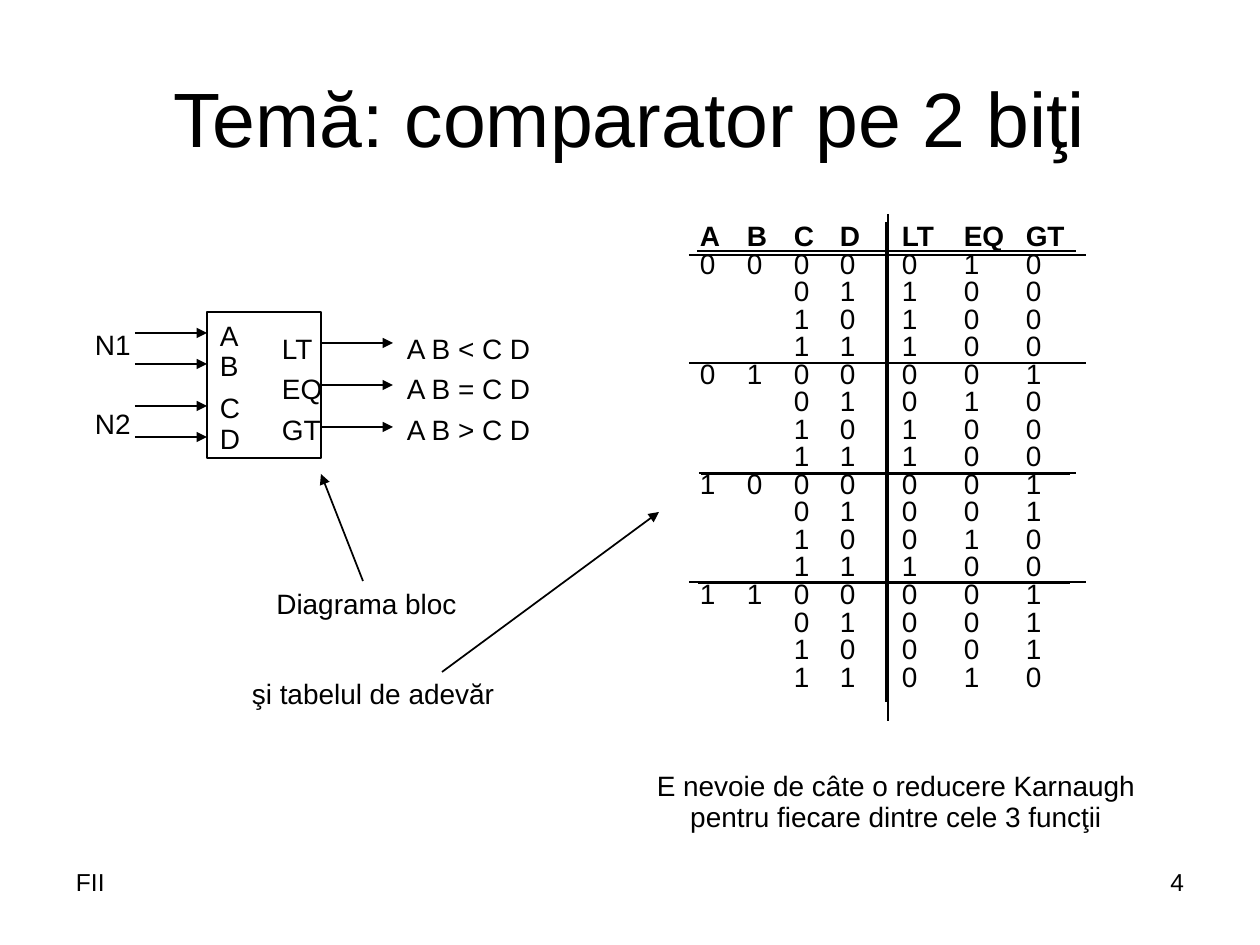
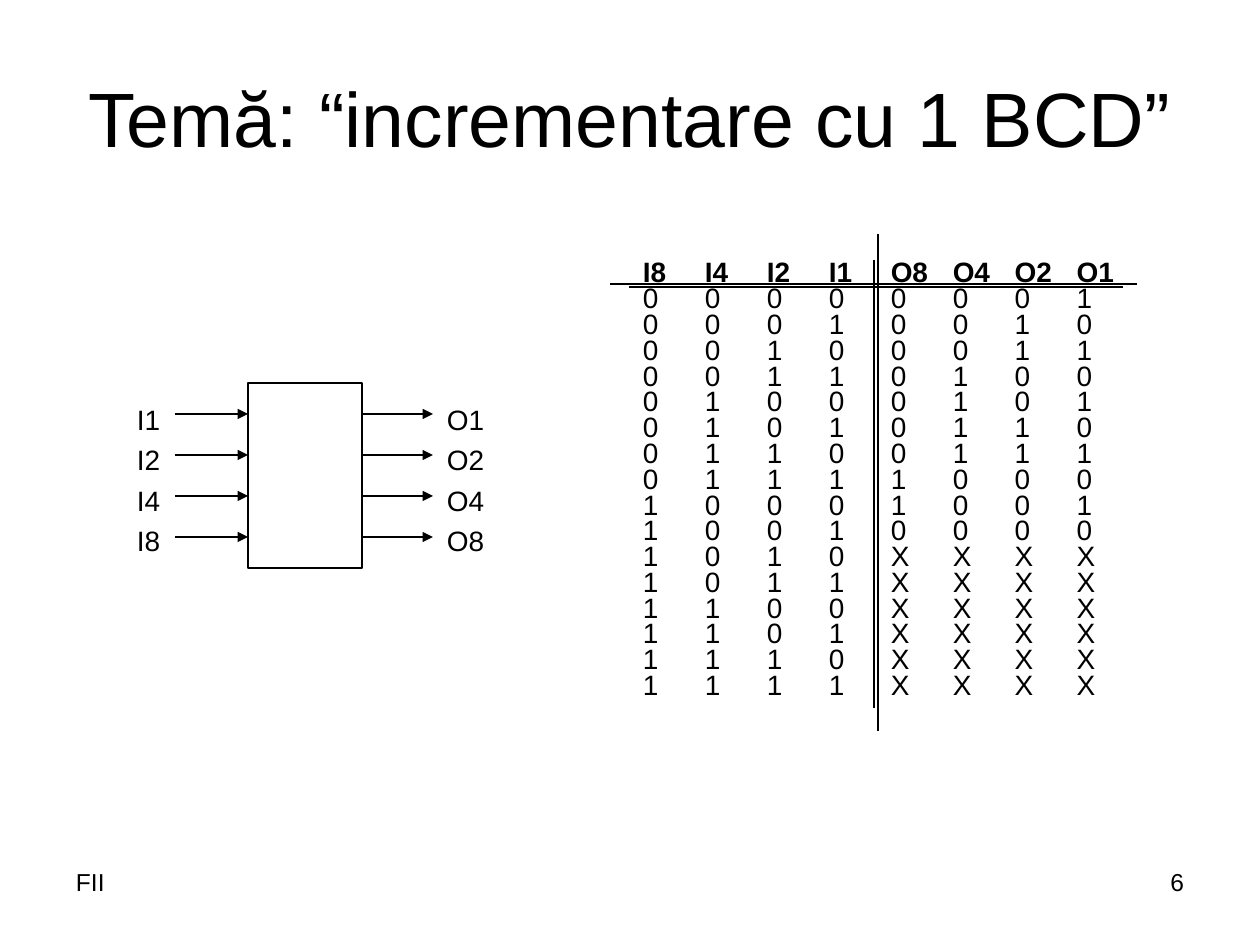
from dataclasses import dataclass

from lxml import etree
from pptx import Presentation
from pptx.dml.color import RGBColor
from pptx.enum.shapes import MSO_CONNECTOR, MSO_SHAPE
from pptx.enum.text import MSO_ANCHOR, MSO_AUTO_SIZE, PP_ALIGN
from pptx.oxml.ns import qn
from pptx.util import Pt

EMU_PER_PX = 914400 / 126
COLORS = {"ink": "000000", "paper": "FFFFFF"}
FONT = "Arial"
LEFT, CENTER, RIGHT = PP_ALIGN.LEFT, PP_ALIGN.CENTER, PP_ALIGN.RIGHT
MIDDLE = MSO_ANCHOR.MIDDLE
NO_AUTOFIT = MSO_AUTO_SIZE.NONE
STRAIGHT = MSO_CONNECTOR.STRAIGHT
RECTANGLE = MSO_SHAPE.RECTANGLE
TIGHT, ROOMY = (3, 4), (13, 6)  # horizontal and vertical text insets
LEFT_SIDE, RIGHT_SIDE = 1, 3
PLAIN_TABLE_STYLE = "{2D5ABB26-0587-4C30-8999-92F81FD0307C}"


@dataclass
class Label:
    left: int
    top: int
    width: int
    height: int
    lines: list[str]
    spacing: float | Pt | None = None
    align: PP_ALIGN = LEFT
    inset: tuple[int, int] = TIGHT
    size: int = 16
    wrap: bool = False


@dataclass
class Line:
    x1: int
    y1: int
    x2: int
    y2: int
    weight: float = 1
    arrow: bool = False


@dataclass
class Block:
    left: int
    top: int
    width: int
    height: int
    input_start: int
    input_rows: list[int]
    output_end: int
    output_rows: list[int]


@dataclass
class TruthTable:
    left: int
    top: int
    widths: list[int]
    row_points: float
    rows: list[list[str]]
    group_columns: int = 0  # leading columns merged over each group of rows
    group_size: int = 4


def px(length: int) -> int:
    return round(length * EMU_PER_PX)


def color(name: str) -> RGBColor:
    return RGBColor.from_string(COLORS[name])


def style_paragraph(para, size: int, align=LEFT, spacing=None, bold=False) -> None:
    para.alignment = align
    para.line_spacing = spacing
    para.font.name = FONT
    para.font.size = Pt(size)
    para.font.bold = bold
    para.font.color.rgb = color("ink")


def set_insets(frame, inset: tuple[int, int]) -> None:
    frame.margin_left = frame.margin_right = px(inset[0])
    frame.margin_top = frame.margin_bottom = px(inset[1])


def add_label(page, label: Label) -> None:
    box = page.shapes.add_textbox(
        px(label.left), px(label.top), px(label.width), px(label.height))
    frame = box.text_frame
    frame.word_wrap = label.wrap
    set_insets(frame, label.inset)
    frame.text = "\n".join(label.lines)
    for para in frame.paragraphs:
        style_paragraph(para, label.size, label.align, label.spacing)


def add_line(page, line: Line):
    connector = page.shapes.add_connector(
        STRAIGHT, px(line.x1), px(line.y1), px(line.x2), px(line.y2))
    connector.line.color.rgb = color("ink")
    connector.line.width = Pt(line.weight)
    properties = connector._element.spPr
    if line.arrow:
        etree.SubElement(properties.find(qn("a:ln")), qn("a:tailEnd"), type="triangle")
    etree.SubElement(properties, qn("a:effectLst"))
    return connector


def add_block(page, block: Block) -> None:
    box = page.shapes.add_shape(
        RECTANGLE, px(block.left), px(block.top), px(block.width), px(block.height))
    box.shadow.inherit = False
    box.fill.background()
    box.line.color.rgb = color("ink")
    box.line.width = Pt(1)

    right = block.left + block.width
    middle = block.top + block.height // 2
    for y in block.input_rows:
        arrow = add_line(page, Line(block.input_start, y, block.left, y, arrow=True))
        if y == middle:
            arrow.end_connect(box, LEFT_SIDE)
    for y in block.output_rows:
        arrow = add_line(page, Line(right, y, block.output_end, y, arrow=True))
        if y == middle:
            arrow.begin_connect(box, RIGHT_SIDE)


def add_truth_table(page, truth: TruthTable) -> None:
    row_height = Pt(truth.row_points)
    table = page.shapes.add_table(
        len(truth.rows), len(truth.widths), px(truth.left), px(truth.top),
        px(sum(truth.widths)), row_height * len(truth.rows)).table
    table.first_row = table.horz_banding = False
    table._tbl.tblPr.find(qn("a:tableStyleId")).text = PLAIN_TABLE_STYLE
    for column, width in zip(table.columns, truth.widths):
        column.width = px(width)
    for column_index in range(truth.group_columns):
        for first in range(1, len(truth.rows), truth.group_size):
            last = first + truth.group_size - 1
            table.cell(first, column_index).merge(table.cell(last, column_index))
    for row_index, values in enumerate(truth.rows):
        table.rows[row_index].height = row_height
        for cell, value in zip(table.rows[row_index].cells, values):
            cell.fill.background()
            cell.margin_left = cell.margin_right = 0
            cell.margin_top = cell.margin_bottom = 0
            cell.text = value
            para = cell.text_frame.paragraphs[0]
            style_paragraph(para, 16, spacing=row_height, bold=row_index == 0)
            if not value:  # a small end mark keeps the row from growing
                etree.SubElement(para._p, qn("a:endParaRPr"), sz="800")


def add_page(deck, title: str, number: int):
    page = deck.slides.add_slide(deck.slide_layouts[5])
    page.background.fill.solid()
    page.background.fill.fore_color.rgb = color("paper")

    box = page.shapes.title
    box.left, box.top, box.width, box.height = px(63), px(38), px(1134), px(158)
    frame = box.text_frame
    frame.text = title
    frame.auto_size = NO_AUTOFIT
    frame.vertical_anchor = MIDDLE
    set_insets(frame, ROOMY)
    style_paragraph(frame.paragraphs[0], 44, CENTER)

    for left, text, align in ((63, "FII", LEFT), (903, str(number), RIGHT)):
        add_label(page, Label(left, 861, 294, 66, [text], align=align,
                              inset=ROOMY, size=14, wrap=True))
    return page


def bits(number: int, count: int) -> list[str]:
    return list(f"{number:0{count}b}")


def comparator_rows() -> list[list[str]]:
    rows = [["A", "B", "C", "D", "LT", "EQ", "GT"]]
    for first in range(4):
        for second in range(4):
            # The first number shows only where it changes
            shown = bits(first, 2) if second == 0 else ["", ""]
            results = (first < second, first == second, first > second)
            rows.append(shown + bits(second, 2) + [str(int(r)) for r in results])
    return rows


def increment_rows() -> list[list[str]]:
    rows = [["I8", "I4", "I2", "I1", "O8", "O4", "O2", "O1"]]
    for digit in range(16):
        result = bits((digit + 1) % 10, 4) if digit < 10 else ["X"] * 4
        rows.append(bits(digit, 4) + result)
    return rows


def build_comparator(deck) -> None:
    page = add_page(deck, "Temă: comparator pe 2 biţi", 4)

    # Block diagram
    input_rows = [333, 364, 406, 437]
    add_block(page, Block(207, 312, 114, 146, 135, input_rows,
                          393, [343, 385, 427]))
    for pin, y in zip("ABCD", input_rows):
        add_label(page, Label(207, y - 21, 50, 47, [pin], inset=ROOMY))
    for name, top in (("N1", 322), ("N2", 401)):
        add_label(page, Label(82, top, 72, 47, [name], inset=ROOMY))
    add_label(page, Label(279, 321, 54, 90, ["LT", "EQ", "GT"], 1.2))
    add_label(page, Label(404, 321, 199, 94,
                          ["A B < C D", "A B = C D", "A B > C D"], 1.2))

    # Truth table and its rules
    add_truth_table(page, TruthTable(700, 225, [47, 47, 46, 62, 62, 62, 62],
                                     15.7, comparator_rows(), group_columns=2))
    for rule in (
        Line(697, 251, 1076, 251), Line(697, 363, 1076, 363),
        Line(701, 474, 1070, 474), Line(698, 583, 1070, 583),
        Line(886, 222, 886, 702),
        Line(689, 255, 1086, 255, 0.75), Line(689, 363, 1086, 363, 0.75),
        Line(699, 473, 1076, 473, 0.75), Line(689, 582, 1086, 582, 0.75),
        Line(888, 214, 888, 721, 0.75),
    ):
        add_line(page, rule)

    # Captions and pointers
    spacing = Pt(17.7)
    add_label(page, Label(247, 585, 239, 50, ["Diagrama bloc"], spacing, CENTER))
    add_line(page, Line(363, 581, 321, 474, arrow=True))
    add_label(page, Label(238, 675, 270, 50, ["şi tabelul de adevăr"], spacing, CENTER))
    add_line(page, Line(442, 672, 659, 512, arrow=True))
    add_label(page, Label(611, 767, 570, 79,
                          ["E nevoie de câte o reducere Karnaugh",
                           "pentru fiecare dintre cele 3 funcţii"], spacing, CENTER))


def build_increment(deck) -> None:
    page = add_page(deck, "Temă: “incrementare cu 1 BCD”", 6)

    # Block diagram
    signal_rows = [414 + 41 * index for index in range(4)]
    add_block(page, Block(248, 383, 114, 185, 175, signal_rows, 433, signal_rows))
    for prefix, left in (("I", 134), ("O", 444)):
        names = [f"{prefix}{weight}" for weight in (1, 2, 4, 8)]
        add_label(page, Label(left, 392, 54, 166, names, 1.2))

    # Truth table and its rules
    add_truth_table(page, TruthTable(643, 263, [62] * 8, 14.7, increment_rows()))
    for rule in (
        Line(629, 287, 1123, 287), Line(874, 260, 874, 708),
        Line(878, 234, 878, 731, 0.75), Line(610, 284, 1137, 284, 0.75),
    ):
        add_line(page, rule)


def main() -> None:
    deck = Presentation()
    deck.slide_width, deck.slide_height = px(1260), px(945)
    build_comparator(deck)
    build_increment(deck)
    deck.save("out.pptx")


if __name__ == "__main__":
    main()
